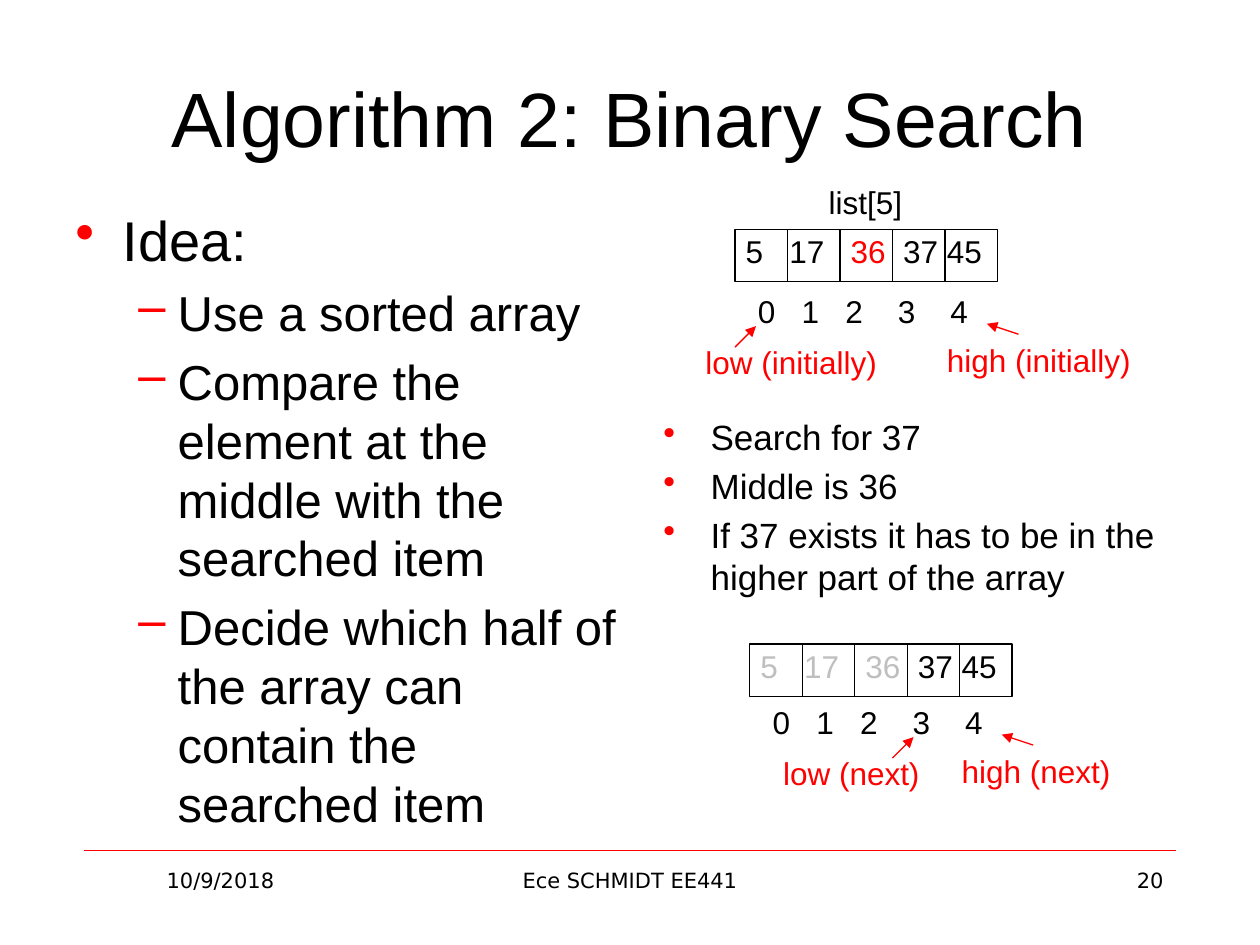
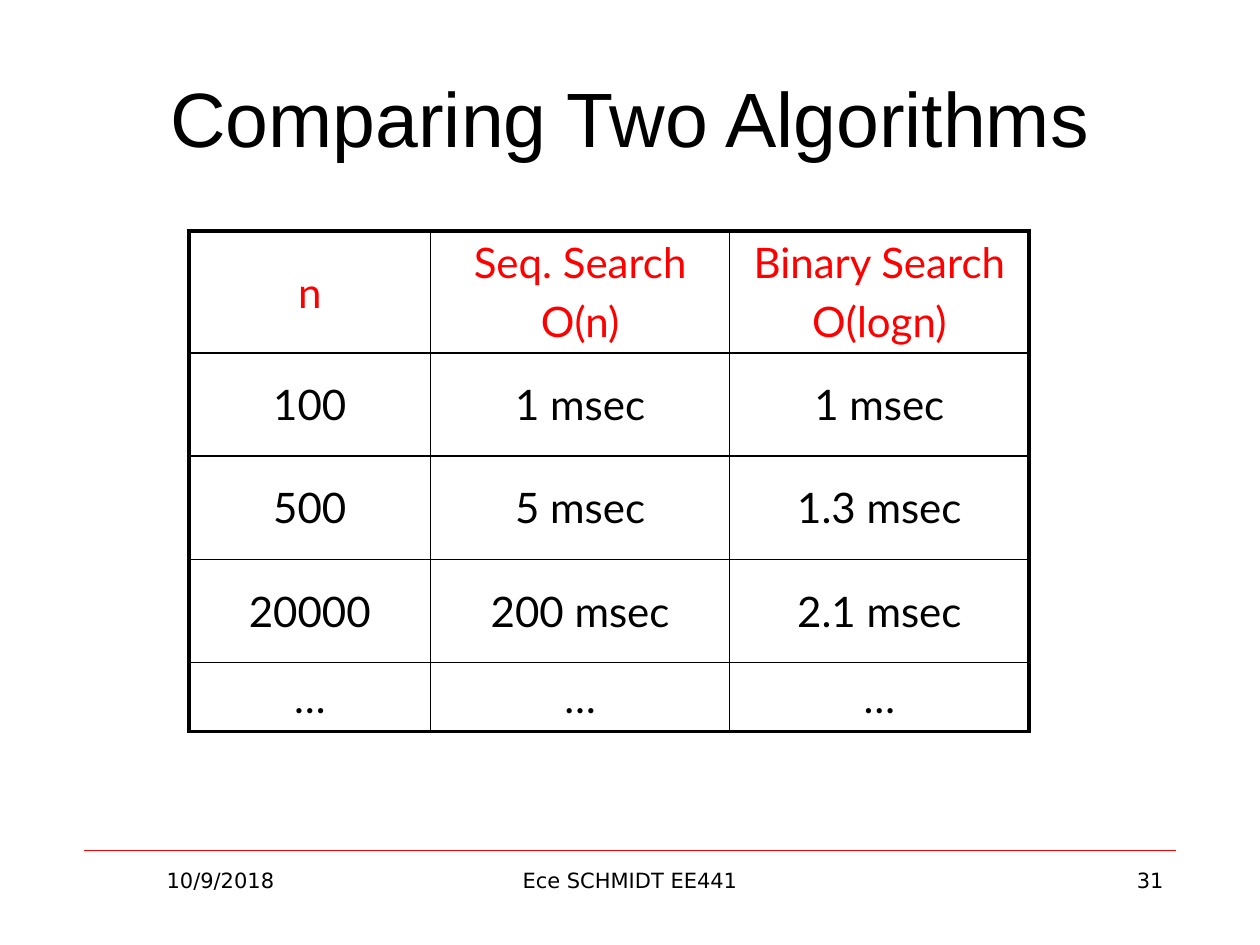
from dataclasses import dataclass

from lxml.etree import SubElement
from pptx import Presentation
from pptx.dml.color import RGBColor
from pptx.enum.shapes import MSO_CONNECTOR, MSO_SHAPE
from pptx.enum.text import MSO_ANCHOR, PP_ALIGN
from pptx.oxml.ns import qn
from pptx.shapes.connector import Connector
from pptx.shapes.shapetree import GroupShapes, SlideShapes
from pptx.slide import Slide
from pptx.table import _Cell
from pptx.text.text import TextFrame, _Paragraph
from pptx.util import Pt

BLACK = RGBColor(0x00, 0x00, 0x00)
RED = RGBColor(0xFF, 0x00, 0x00)
GRAY = RGBColor(0xBF, 0xBF, 0xBF)

CELL = 30
CELL_TABS = (25, 60, 90, 115)
INDEX_TABS = (25, 50, 80, 110)
NUMBERS = ("5", "17", "36", "37", "45")

Shapes = SlideShapes | GroupShapes
Point = tuple[float, float]


@dataclass(frozen=True)
class Box:
    left: float
    top: float
    width: float
    height: float


@dataclass(frozen=True)
class Style:
    size: float
    font: str = "Arial"
    color: RGBColor = BLACK
    align: PP_ALIGN = PP_ALIGN.LEFT


@dataclass(frozen=True)
class Bullet:
    mark: str
    level: int
    margin: float
    hang: float
    size: float


@dataclass(frozen=True)
class Figure:
    left: float
    top: float
    base: float
    colors: tuple[RGBColor, ...]
    stage: str
    low: float
    tip: float


TITLE = Style(44, align=PP_ALIGN.CENTER)
NOTE = Style(18)
LABEL = Style(18, color=RED)
HEAD = Style(24, "Lato", RED, PP_ALIGN.CENTER)
DATA = Style(24, "Lato", BLACK, PP_ALIGN.CENTER)
FOOT = Style(12, "DejaVu Sans", BLACK, PP_ALIGN.CENTER)
PAGE = Style(12, "DejaVu Sans", BLACK, PP_ALIGN.RIGHT)

MAIN = Bullet("•", 0, 27, 27, 32)
SUB = Bullet("–", 1, 58.5, 22.5, 28)
SIDE = Bullet("•", 0, 27, 27, 20)

IDEA = (
    (MAIN, "Idea:"),
    (SUB, "Use a sorted array"),
    (SUB, "Compare the element at the middle with the searched item"),
    (SUB, "Decide which half of the array can contain the searched item"),
)
STEPS = (
    (SIDE, "Search for 37"),
    (SIDE, "Middle is 36"),
    (SIDE, "If 37 exists it has to be in the higher part of the array"),
)
FIRST = Figure(420, 131, 163.4, (BLACK, BLACK, RED, BLACK, BLACK), "initially", -24, 12)
NEXT = Figure(428.4, 368, 398.2, (GRAY, GRAY, GRAY, BLACK, BLACK), "next", 12, 93.6)

ROWS = (
    ("n", "Seq. Search\nO(n)", "Binary Search\nO(logn)"),
    ("100", "1 msec", "1 msec"),
    ("500", "5 msec", "1.3 msec"),
    ("20000", "200 msec", "2.1 msec"),
    ("…", "…", "…"),
)
WIDTHS = (138, 171, 171)
HEIGHTS = (65, 59, 59, 59, 39.5)


def set_style(para: _Paragraph, style: Style) -> None:
    para.alignment = style.align
    para.font.size = Pt(style.size)
    para.font.name = style.font
    para.font.color.rgb = style.color


def add_frame(shapes: Shapes, box: Box) -> TextFrame:
    shape = shapes.add_textbox(Pt(box.left), Pt(box.top), Pt(box.width), Pt(box.height))
    shape.text_frame.word_wrap = True
    return shape.text_frame


def add_text(shapes: Shapes, box: Box, text: str, style: Style) -> TextFrame:
    frame = add_frame(shapes, box)
    frame.text = text
    set_style(frame.paragraphs[0], style)
    return frame


def add_line(shapes: Shapes, start: Point, end: Point, color: RGBColor = BLACK,
             width: float = 0.75) -> Connector:
    line = shapes.add_connector(MSO_CONNECTOR.STRAIGHT, *map(Pt, start + end))
    line.line.color.rgb = color
    line.line.width = Pt(width)
    SubElement(line._element.spPr, qn("a:effectLst"))
    return line


def add_arrow(shapes: Shapes, start: Point, end: Point) -> None:
    line = add_line(shapes, start, end, RED)
    SubElement(line.line._get_or_add_ln(), qn("a:tailEnd"), type="triangle")


def add_list(slide: Slide, box: Box, items: tuple[tuple[Bullet, str], ...]) -> None:
    frame = add_frame(slide.shapes, box)
    frame.text = "\n".join(text for _, text in items)
    for para, (mark, _) in zip(frame.paragraphs, items):
        para.level = mark.level
        para.space_before = Pt(mark.size * 0.2)
        props = para._p.get_or_add_pPr()
        props.set("marL", str(Pt(mark.margin)))
        props.set("indent", str(-Pt(mark.hang)))
        tint = SubElement(props, qn("a:buClr"))
        SubElement(tint, qn("a:srgbClr"), val=str(RED))
        SubElement(props, qn("a:buChar"), char=mark.mark)
        set_style(para, Style(mark.size))


def add_row(shapes: Shapes, box: Box, words: tuple[str, ...], tabs: tuple[int, ...],
            colors: tuple[RGBColor, ...]) -> None:
    para = add_frame(shapes, box).paragraphs[0]
    stops = SubElement(para._p.get_or_add_pPr(), qn("a:tabLst"))
    for stop in tabs:
        SubElement(stops, qn("a:tab"), pos=str(Pt(stop)), algn="l")
    set_style(para, NOTE)
    for i, (word, color) in enumerate(zip(words, colors)):
        run = para.add_run()
        run.text = f"\t{word}" if i else word
        run.font.color.rgb = color


def add_figure(slide: Slide, fig: Figure) -> None:
    shapes = slide.shapes.add_group_shape().shapes
    left, top, base = fig.left, fig.top, fig.base
    count = len(NUMBERS)
    frame = shapes.add_shape(MSO_SHAPE.RECTANGLE, Pt(left), Pt(top), Pt(CELL * count), Pt(CELL))
    frame.shadow.inherit = False
    frame.fill.background()
    frame.line.color.rgb = BLACK
    frame.line.width = Pt(0.75)
    for i in range(1, count):
        x = left + CELL * i
        add_line(shapes, (x, top), (x, top + CELL))
    add_row(shapes, Box(left - 1, top - 2, 156, 29), NUMBERS, CELL_TABS, fig.colors)
    marks = tuple(str(i) for i in range(count))
    add_row(shapes, Box(left + 6, base, 142.5, 29), marks, INDEX_TABS, (BLACK,) * count)
    add_text(shapes, Box(left + fig.low, base + 29, 132, 29), f"low ({fig.stage})", LABEL)
    add_text(shapes, Box(left + 114, base + 28, 156, 29), f"high ({fig.stage})", LABEL)
    add_arrow(shapes, (left + fig.tip - 12, base + 35), (left + fig.tip, base + 23))
    add_arrow(shapes, (left + 162, base + 27.6), (left + 144, base + 21.6))


def set_edges(cell: _Cell, row: int, col: int) -> None:
    outer = {"L": col == 0, "R": col == len(WIDTHS) - 1,
             "T": row == 0, "B": row == len(ROWS) - 1}
    props = cell._tc.get_or_add_tcPr()
    for side, thick in outer.items():
        edge = SubElement(props, qn(f"a:ln{side}"), w=str(Pt(2.25 if thick else 1)))
        fill = SubElement(edge, qn("a:solidFill"))
        SubElement(fill, qn("a:srgbClr"), val=str(BLACK))


def add_grid(slide: Slide) -> None:
    table = slide.shapes.add_table(len(ROWS), len(WIDTHS), Pt(108), Pt(132),
                                   Pt(sum(WIDTHS)), Pt(sum(HEIGHTS))).table
    table.first_row = table.horz_banding = False
    for col, width in zip(table.columns, WIDTHS):
        col.width = Pt(width)
    for r, words in enumerate(ROWS):
        table.rows[r].height = Pt(HEIGHTS[r])
        for c, word in enumerate(words):
            cell = table.cell(r, c)
            cell.text = word
            cell.vertical_anchor = MSO_ANCHOR.MIDDLE
            set_edges(cell, r, c)
            cell.fill.background()
            for para in cell.text_frame.paragraphs:
                para.space_before = Pt(4.8)
                set_style(para, DATA if r else HEAD)


def add_slide(deck: Presentation, title: str, page: str) -> Slide:
    slide = deck.slides.add_slide(deck.slide_layouts[6])
    shapes = slide.shapes
    add_line(shapes, (48, 486), (672, 486), RED, 0.25)
    head = add_text(shapes, Box(36, 21.6, 648, 90), title, TITLE)
    head.vertical_anchor = MSO_ANCHOR.MIDDLE
    add_text(shapes, Box(48, 492, 156, 37.5), "10/9/2018", FOOT)
    add_text(shapes, Box(246, 492, 228, 37.5), "Ece SCHMIDT EE441", FOOT)
    add_text(shapes, Box(516, 492, 156, 37.5), page, PAGE)
    return slide


def main() -> None:
    deck = Presentation()
    deck.slide_width, deck.slide_height = Pt(720), Pt(540)

    search = add_slide(deck, "Algorithm 2: Binary Search", "20")
    add_list(search, Box(36, 114, 324, 356.5), IDEA)
    add_list(search, Box(372, 234, 324, 120), STEPS)
    add_text(search.shapes, Box(466.5, 101, 66, 29), "list[5]", NOTE)
    add_figure(search, FIRST)
    add_figure(search, NEXT)

    compare = add_slide(deck, "Comparing Two Algorithms", "31")
    add_grid(compare)

    deck.save("out.pptx")


if __name__ == "__main__":
    main()
